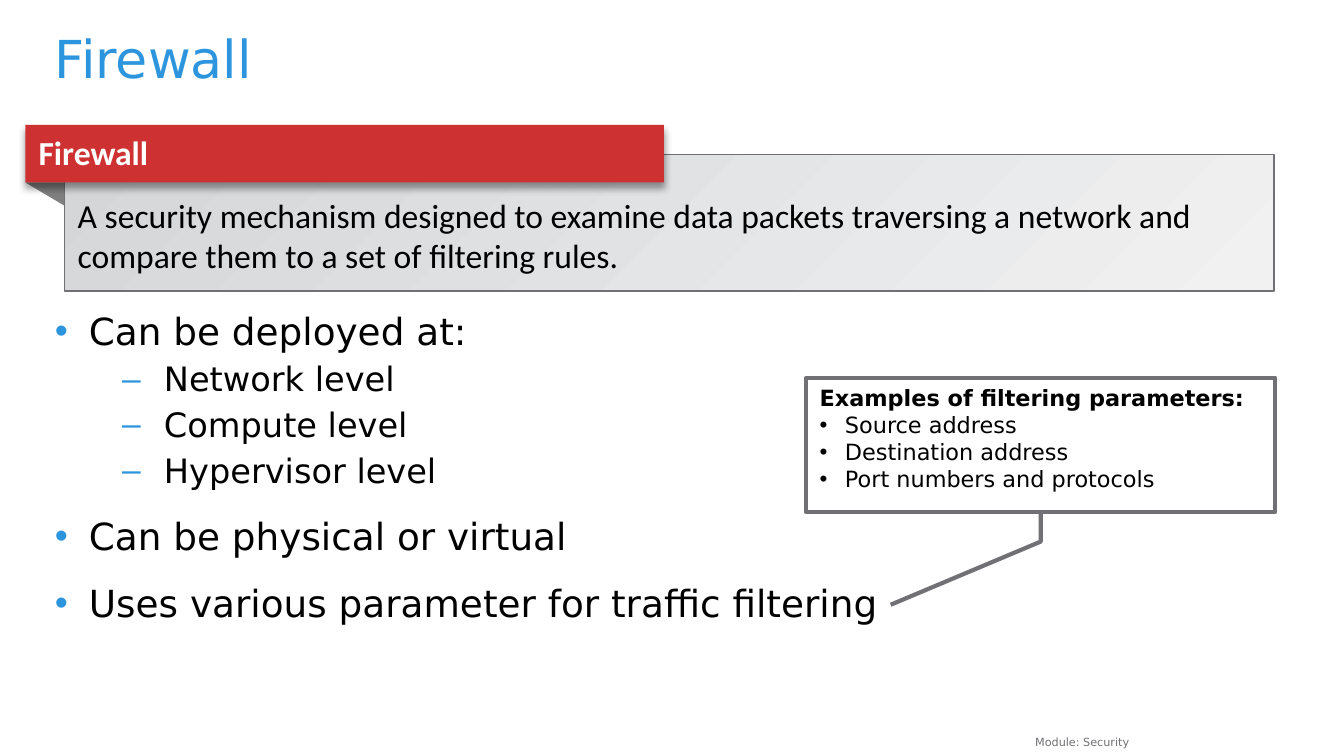
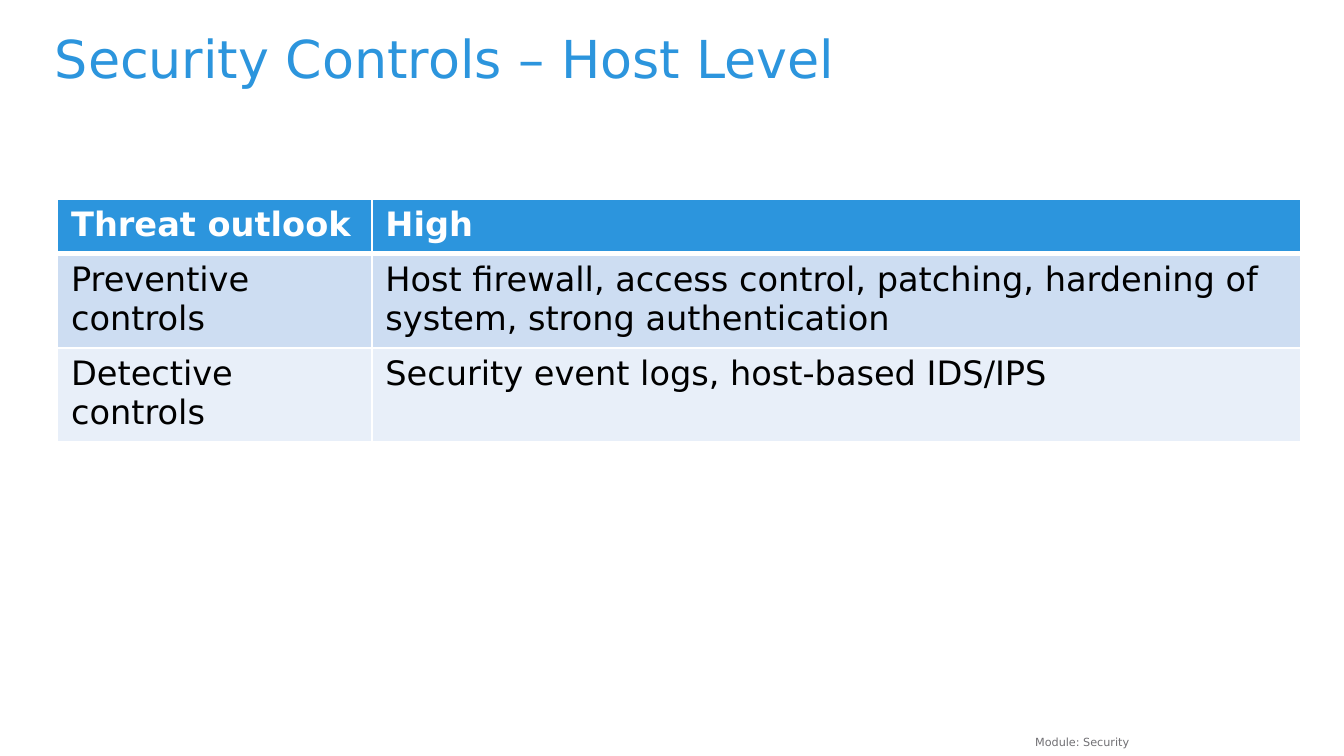
from dataclasses import dataclass

from lxml import etree
from pptx import Presentation
from pptx.dml.color import RGBColor
from pptx.enum.shapes import MSO_SHAPE
from pptx.enum.text import MSO_ANCHOR, PP_ALIGN
from pptx.oxml.ns import qn
from pptx.util import Cm, Pt

RECTANGLE = MSO_SHAPE.RECTANGLE
BENT_CALLOUT = MSO_SHAPE.LINE_CALLOUT_2
TOP = MSO_ANCHOR.TOP
LEFT = PP_ALIGN.LEFT
RIGHT = PP_ALIGN.RIGHT


@dataclass(frozen=True)
class Theme:
    font: str = "DejaVu Sans"
    panel_font: str = "Calibri"
    accent: str = "2C95DD"
    ink: str = "000000"
    white: str = "FFFFFF"
    gray: str = "717074"
    fold: str = "808080"
    ribbon: str = "CE3131"
    panel: tuple = ("D4D6D8", "F1F1F2")
    bands: tuple = ("CDDDF2", "E8EFF9")
    title_size: int = 28
    body_size: int = 20
    detail_size: int = 18
    callout_size: int = 12
    footer_size: int = 6


THEME = Theme()
INSETS = (0.25, 0.13, 0.25, 0.13)
NO_INSETS = (0, 0, 0, 0)


def color(value):
    return RGBColor.from_string(value)


def place(left, top, width, height):
    return Cm(left), Cm(top), Cm(width), Cm(height)


def child(parent, tag, **attributes):
    return etree.SubElement(parent, qn(tag), attributes)


def add_span(para, text, size, ink=THEME.ink, bold=False, font=THEME.font):
    span = para.add_run()
    span.text = text
    span.font.size = Pt(size)
    span.font.name = font
    span.font.bold = bold
    span.font.color.rgb = color(ink)


def add_bullet(para, char, indent, hanging, ink):
    properties = para._p.get_or_add_pPr()
    properties.set("marL", str(Cm(indent)))
    properties.set("indent", str(-Cm(hanging)))
    bullet_color = child(properties, "a:buClr")
    child(bullet_color, "a:srgbClr", val=ink)
    child(properties, "a:buFont", typeface="Arial")
    child(properties, "a:buChar", char=char)


def prepare_frame(box, insets=INSETS):
    frame = box.text_frame
    frame.word_wrap = True
    frame.vertical_anchor = TOP
    left, top, right, bottom = insets
    frame.margin_left, frame.margin_top = Cm(left), Cm(top)
    frame.margin_right, frame.margin_bottom = Cm(right), Cm(bottom)
    frame.paragraphs[0].alignment = LEFT
    return frame


def next_para(frame, index):
    para = frame.add_paragraph() if index else frame.paragraphs[0]
    para.alignment = LEFT
    return para


def add_text(page, area, insets=INSETS):
    return prepare_frame(page.shapes.add_textbox(*place(*area)), insets)


def add_panel(page, area, kind=RECTANGLE, line=None, weight=1):
    panel = page.shapes.add_shape(kind, *place(*area))
    panel.shadow.inherit = False
    if line:
        panel.line.color.rgb = color(line)
        panel.line.width = Pt(weight)
    else:
        panel.line.fill.background()
    return panel


def add_drop_shadow(shape):
    effects = shape._element.spPr.find(qn("a:effectLst"))
    shadow = child(effects, "a:outerShdw", blurRad=str(Pt(4)), dist=str(Pt(3)),
                   dir="5400000", algn="t", rotWithShape="0")
    ink = child(shadow, "a:srgbClr", val=THEME.ink)
    child(ink, "a:alpha", val="40000")


def add_page(deck, title):
    page = deck.slides.add_slide(deck.slide_layouts[6])
    para = add_text(page, (1.04, 0.64, 23.5, 1.27), NO_INSETS).paragraphs[0]
    para.line_spacing = 0.9
    add_span(para, title, THEME.title_size, THEME.accent)
    footer = add_text(page, (7.19, 13.77, 14.4, 0.38)).paragraphs[0]
    footer.alignment = RIGHT
    add_span(footer, "Module: Security", THEME.footer_size, THEME.gray)
    return page


def add_outline(page, area, items):
    frame = add_text(page, area, NO_INSETS)
    for index, (level, text) in enumerate(items):
        para = next_para(frame, index)
        para.level = level
        if level:
            add_bullet(para, "–", 2.06, 0.79, THEME.accent)
        else:
            add_bullet(para, "•", 0.64, 0.64, THEME.accent)
        para.space_before = Pt((12, 3)[level] if index else 0)
        add_span(para, text, (THEME.body_size, THEME.detail_size)[level])


def add_definition(page, term, meaning):
    ribbon_left, ribbon_top, ribbon_height = 0.48, 2.36, 1.09
    panel_left = 1.22
    fold_top = ribbon_top + ribbon_height

    builder = page.shapes.build_freeform(Cm(ribbon_left), Cm(fold_top))
    builder.add_line_segments([(Cm(panel_left), Cm(fold_top)),
                               (Cm(panel_left), Cm(fold_top + 0.44))])
    fold = builder.convert_to_shape()
    fold.shadow.inherit = False
    fold.fill.solid()
    fold.fill.fore_color.rgb = color(THEME.fold)
    fold.line.fill.background()

    panel = add_panel(page, (panel_left, 2.92, 22.86, 2.59), line=THEME.gray)
    panel.fill.gradient()
    panel.fill.gradient_angle = 315
    for stop, shade in zip(panel.fill.gradient_stops, THEME.panel):
        stop.color.rgb = color(shade)
    para = prepare_frame(panel, (0.25, 0.76, 0.25, 0.13)).paragraphs[0]
    add_span(para, meaning, THEME.detail_size, font=THEME.panel_font)

    ribbon = add_panel(page, (ribbon_left, ribbon_top, 12.07, ribbon_height))
    ribbon.fill.solid()
    ribbon.fill.fore_color.rgb = color(THEME.ribbon)
    add_drop_shadow(ribbon)
    para = prepare_frame(ribbon).paragraphs[0]
    add_span(para, term, THEME.detail_size, THEME.white, True, THEME.panel_font)


def add_callout(page, area, pointer, heading, items):
    callout = add_panel(page, area, BENT_CALLOUT, THEME.gray, 2.25)
    callout.fill.background()
    for index, value in enumerate(pointer):
        callout.adjustments[index] = value
    frame = prepare_frame(callout)
    add_span(frame.paragraphs[0], heading, THEME.callout_size, bold=True)
    for index, text in enumerate(items, 1):
        para = next_para(frame, index)
        add_bullet(para, "•", 0.48, 0.48, THEME.ink)
        add_span(para, text, THEME.callout_size)


def add_borders(cell, row):
    weights = {"L": 1, "R": 1, "T": 3 if row == 1 else 1, "B": 1 if row else 3}
    properties = cell._tc.get_or_add_tcPr()
    for side, weight in weights.items():
        line = child(properties, f"a:ln{side}", w=str(Pt(weight)))
        fill = child(line, "a:solidFill")
        child(fill, "a:srgbClr", val=THEME.white)


def add_grid(page, left, top, widths, row_height, rows):
    area = place(left, top, sum(widths), row_height * len(rows))
    table = page.shapes.add_table(len(rows), len(widths), *area).table
    for column, width in zip(table.columns, widths):
        column.width = Cm(width)
    for row, texts in enumerate(rows):
        table.rows[row].height = Cm(row_height)
        header = row == 0
        shade = THEME.accent if header else THEME.bands[(row - 1) % 2]
        ink = THEME.white if header else THEME.ink
        for column, text in enumerate(texts):
            cell = table.cell(row, column)
            add_borders(cell, row)
            cell.fill.solid()
            cell.fill.fore_color.rgb = color(shade)
            para = cell.text_frame.paragraphs[0]
            add_span(para, text, THEME.detail_size, ink, header)


def build_firewall(deck):
    page = add_page(deck, "Firewall")
    add_outline(page, (1.04, 5.82, 23.5, 6.4), [
        (0, "Can be deployed at:"),
        (1, "Network level"),
        (1, "Compute level"),
        (1, "Hypervisor level"),
        (0, "Can be physical or virtual"),
        (0, "Uses various parameter for traffic filtering"),
    ])
    add_definition(
        page, "Firewall",
        "A security mechanism designed to examine data packets traversing "
        "a network and compare them to a set of filtering rules.")
    add_callout(
        page, (15.24, 7.14, 8.86, 2.54), (1, 0.5, 1.22, 0.5, 1.69, 0.18),
        "Examples of filtering parameters:",
        ["Source address", "Destination address", "Port numbers and protocols"])


def build_host_controls(deck):
    page = add_page(deck, "Security Controls – Host Level")
    add_grid(page, 1.09, 3.76, (5.94, 17.55), 1.04, [
        ("Threat outlook", "High"),
        ("Preventive controls",
         "Host firewall, access control, patching, hardening of system, "
         "strong authentication"),
        ("Detective controls", "Security event logs, host-based IDS/IPS"),
    ])


def main():
    deck = Presentation()
    deck.slide_width, deck.slide_height = Cm(25.4), Cm(14.29)
    build_firewall(deck)
    build_host_controls(deck)
    deck.save("out.pptx")


if __name__ == "__main__":
    main()
